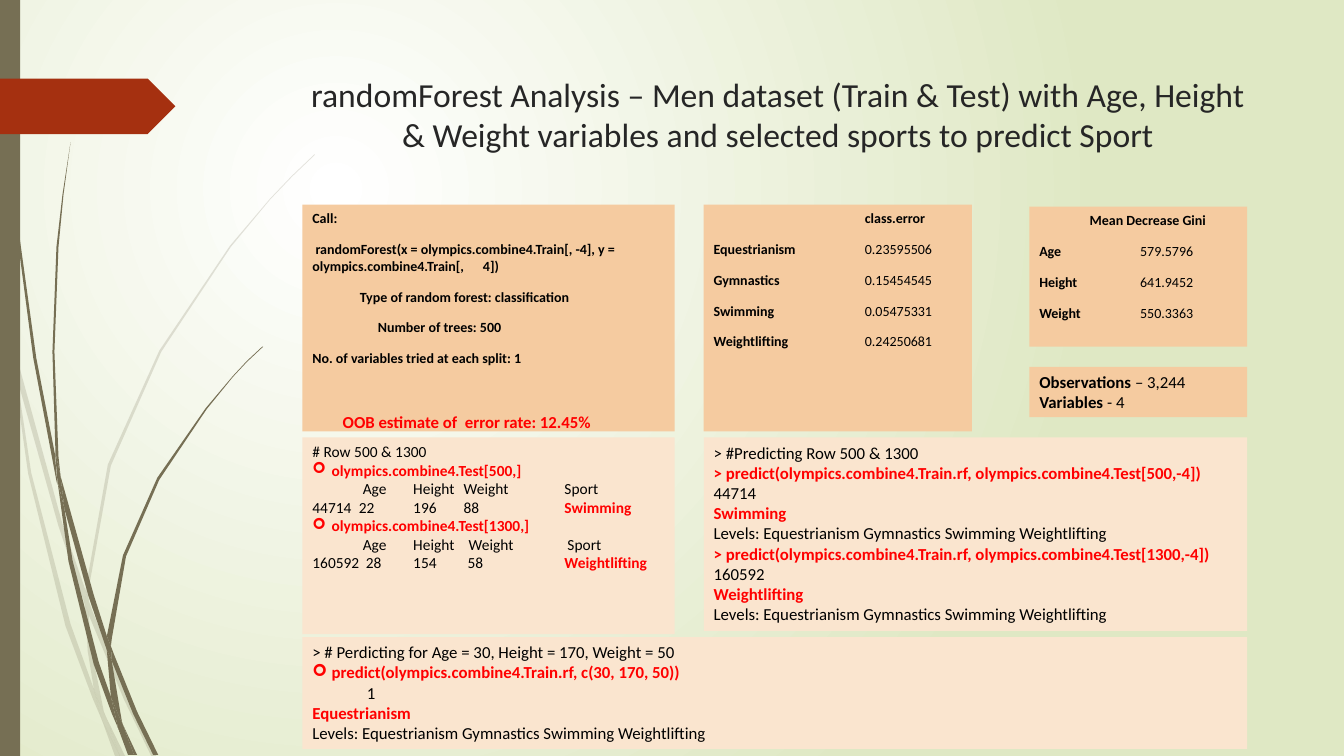
from lxml import etree
from pptx import Presentation
from pptx.dml.color import RGBColor
from pptx.enum.shapes import MSO_SHAPE
from pptx.enum.text import MSO_ANCHOR, MSO_AUTO_SIZE, PP_ALIGN
from pptx.oxml.ns import qn
from pptx.util import Inches, Pt

RECTANGLE = MSO_SHAPE.RECTANGLE
PENTAGON = MSO_SHAPE.PENTAGON
TOP = MSO_ANCHOR.TOP
NO_AUTOFIT = MSO_AUTO_SIZE.NONE
LEFT, CENTER = PP_ALIGN.LEFT, PP_ALIGN.CENTER

WHITE = RGBColor(0xFF, 0xFF, 0xFF)
PALE_GREEN = RGBColor(0xDF, 0xE8, 0xC4)
OLIVE = RGBColor(0x76, 0x6F, 0x54)
RUST = RGBColor(0xA5, 0x30, 0x10)
ORANGE = RGBColor(0xF5, 0xCB, 0xA0)
PEACH = RGBColor(0xFA, 0xE5, 0xCF)
CHARCOAL = RGBColor(0x26, 0x26, 0x26)
BLACK = RGBColor(0, 0, 0)
RED = RGBColor(0xFF, 0, 0)
FONT = "Calibri"

presentation = Presentation()
presentation.slide_width = Inches(13.33)
presentation.slide_height = Inches(7.5)
slide = presentation.slides.add_slide(presentation.slide_layouts[5])
shapes = slide.shapes

# Background: radial gradient from white to pale green
background_fill = slide.background.fill
background_fill.gradient()
for stop, color in zip(background_fill.gradient_stops, (WHITE, PALE_GREEN)):
    stop.color.rgb = color
gradient = slide.element.find(".//" + qn("a:gradFill"))
gradient.remove(gradient.find(qn("a:lin")))
circle = etree.SubElement(gradient, qn("a:path"), path="circle")
etree.SubElement(circle, qn("a:fillToRect"), l="50000", t="50000", r="100000", b="100000")


def paint(shape, color):
    """Give a shape a plain fill with no line and no shadow."""
    shape.shadow.inherit = False
    shape.fill.solid()
    shape.fill.fore_color.rgb = color
    shape.line.fill.background()


# Grass blades: the outline of each piece, in inches
pale_blades = [
    [(0.11, 3.5), (0.09, 3.22), (0, 2.82), (0, 2.99), (0.1, 3.44)],
    [(0.58, 5.22), (0.84, 5.99), (0.85, 5.86), (0.62, 5.2), (0.14, 3.45), (0.17, 3.76)],
    [(0.92, 6.07), (0.88, 5.96), (0.88, 6.1), (1.23, 6.94), (1.5, 7.5), (1.55, 7.5),
     (1.27, 6.92)],
    [(1.19, 7.5), (1.24, 7.5), (1.05, 7.11)],
    [(0.93, 6.83), (0.7, 6.19), (0.31, 4.69), (0.17, 3.76), (0.11, 3.5), (0.28, 4.7),
     (0.65, 6.21), (0.92, 6.93), (1.01, 7.14), (0.99, 7.07)],
    [(0.84, 5.99), (0.87, 6.46), (0.93, 6.83), (0.96, 6.92), (1.05, 7.11), (1.03, 7.06),
     (0.91, 6.46), (0.88, 6.1), (0.88, 6.08)],
    [(0.88, 5.84), (1.1, 4.62), (1.6, 3.49), (2.29, 2.45), (2.68, 1.98), (2.9, 1.75),
     (3.12, 1.54), (3.12, 1.53), (2.89, 1.75), (2.68, 1.97), (2.28, 2.44), (1.58, 3.48),
     (1.07, 4.61), (0.85, 5.84), (0.85, 5.86), (0.88, 5.96)],
    [(1.01, 7.14), (1.14, 7.5), (1.19, 7.5)],
    [(0.88, 6.08), (0.88, 6.1), (0.88, 5.96), (0.85, 5.86), (0.84, 5.99)],
    [(0.96, 6.92), (0.93, 6.83), (0.99, 7.07), (1.01, 7.14), (1.19, 7.5), (1.05, 7.11)],
]
dark_blades = [
    [(0.07, 1.1), (0.17, 2.33), (0.33, 3.55), (0.56, 4.77), (0.57, 4.81), (0.55, 4.57),
     (0.55, 4.53), (0.36, 3.55), (0.19, 2.32), (0.08, 1.09), (0.05, 0.48), (0.04, 0),
     (0.03, 0), (0.04, 0.48)],
    [(0.88, 5.92), (1.06, 6.45), (1.06, 6.33), (1.06, 6.31), (0.93, 5.9), (0.6, 4.72),
     (0.64, 5.05)],
    [(1.13, 6.49), (1.1, 6.41), (1.11, 6.56), (1.32, 7.08), (1.52, 7.49), (1.57, 7.49),
     (1.36, 7.06)],
    [(1.1, 6.91), (0.98, 6.57), (0.72, 5.56), (0.64, 5.05), (0.57, 4.77), (0.68, 5.57),
     (0.93, 6.59), (1.11, 7.08), (1.17, 7.22), (1.16, 7.17)],
    [(0.6, 4.72), (0.58, 4.53), (0.54, 3.49), (0.58, 2.45), (0.63, 1.93), (0.7, 1.41),
     (0.62, 1.93), (0.56, 2.45), (0.52, 3.49), (0.55, 4.49)],
    [(1.33, 7.49), (1.36, 7.49), (1.22, 7.19)],
    [(0.57, 4.77), (0.64, 5.05), (0.6, 4.72), (0.55, 4.49), (0.55, 4.53)],
    [(1.11, 6.33), (1.25, 5.52), (1.58, 4.76), (2.05, 4.06), (2.31, 3.74), (2.45, 3.59),
     (2.61, 3.44), (2.6, 3.44), (2.45, 3.58), (2.31, 3.73), (2.04, 4.05), (1.56, 4.74),
     (1.22, 5.51), (1.06, 6.31), (1.1, 6.41)],
    [(1.17, 7.22), (1.27, 7.49), (1.31, 7.49)],
    [(1.06, 6.45), (1.1, 6.91), (1.16, 7.06), (1.22, 7.19), (1.21, 7.16), (1.11, 6.56),
     (1.09, 6.51)],
    [(1.06, 6.45), (1.09, 6.51), (1.11, 6.56), (1.1, 6.41), (1.06, 6.31)],
    [(1.16, 7.06), (1.1, 6.91), (1.16, 7.17), (1.17, 7.22), (1.3, 7.49), (1.33, 7.49),
     (1.22, 7.19)],
]
for blades, opacity in ((pale_blades, 20), (dark_blades, 100)):
    for outline in blades:
        start, *rest = [(Inches(x), Inches(y)) for x, y in outline]
        builder = shapes.build_freeform(*start)
        builder.add_line_segments(rest, close=True)
        blade = builder.convert_to_shape()
        paint(blade, OLIVE)
        if opacity < 100:
            blade_color = blade.element.spPr.find(".//" + qn("a:srgbClr"))
            etree.SubElement(blade_color, qn("a:alpha"), val=str(opacity * 1000))

for preset, top, width, height, color in (
        (RECTANGLE, 0, 0.2, 7.5, OLIVE), (PENTAGON, 0.78, 1.74, 0.55, RUST)):
    ornament = shapes.add_shape(preset, 0, Inches(top), Inches(width), Inches(height))
    paint(ornament, color)

title = shapes.title
title.left, title.top = Inches(2.84), Inches(0.68)
title.width, title.height = Inches(9.75), Inches(1.4)
title.text_frame.text = ("randomForest Analysis – Men dataset (Train & Test) with Age, Height "
                         "& Weight variables and selected sports to predict Sport")
title.text_frame.vertical_anchor = TOP
title.text_frame.auto_size = NO_AUTOFIT
title_paragraph = title.text_frame.paragraphs[0]
title_paragraph.alignment = CENTER
title_font = title_paragraph.runs[0].font
title_font.name, title_font.size, title_font.color.rgb = FONT, Pt(24), CHARCOAL


def add_panel(box, fill_color, size, spacing, lines):
    """Add a text panel; each line is (runs, layout), each run (text, style)."""
    panel = shapes.add_shape(RECTANGLE, *map(Inches, box))
    paint(panel, fill_color)
    frame = panel.text_frame
    frame.word_wrap = True
    frame.vertical_anchor = TOP
    for index, (runs, layout) in enumerate(lines):
        paragraph = frame.paragraphs[0] if index == 0 else frame.add_paragraph()
        paragraph.alignment = LEFT
        paragraph.space_before = Pt(layout.get("before", spacing) if index else 0)
        properties = paragraph._p.get_or_add_pPr()
        properties.set("marL", str(Inches(layout.get("indent", 0))))
        if layout.get("bullet"):
            properties.set("indent", str(-Inches(layout["indent"])))
            etree.SubElement(properties, qn("a:buFont"), typeface="Wingdings")
            etree.SubElement(properties, qn("a:buChar"), char="➢")
        if "tabs" in layout:
            tab_list = etree.SubElement(properties, qn("a:tabLst"))
            for position in layout["tabs"]:
                etree.SubElement(tab_list, qn("a:tab"), pos=str(Inches(position)), algn="l")
        for text, style in runs:
            run = paragraph.add_run()
            run.text = text
            run.font.name = FONT
            run.font.size = Pt(layout.get("size", size))
            run.font.bold = style != "plain"
            run.font.color.rgb = RED if style == "red" else BLACK


BULLET = {"indent": 0.19, "bullet": True}
LEVELS = ([("Levels: Equestrianism Gymnastics Swimming Weightlifting", "plain")], {})

gini_scores = [("Age", "579.5796"), ("Height", "641.9452"), ("Weight", "550.3363")]
class_errors = [("Equestrianism", "0.23595506"), ("Gymnastics", "0.15454545"),
                ("Swimming", "0.05475331"), ("Weightlifting", "0.24250681")]
for box, heading, heading_tab, value_tab, scores in (
        ((10.21, 2.05, 2.16, 1.39), "Mean Decrease Gini", 0.5, 1, gini_scores),
        ((6.98, 2.03, 2.66, 2.25), "class.error", 1.5, 1.5, class_errors)):
    add_panel(box, ORANGE, 10, 10, [([("\t" + heading, "bold")], {"tabs": [heading_tab]})] + [
        ([(name + "\t", "bold"), (value, "plain")], {"tabs": [value_tab]})
        for name, value in scores])

add_panel((3, 2.03, 3.69, 2.25), ORANGE, 10, 10, [
    ([("Call:", "bold")], {}),
    ([(" randomForest(x = olympics.combine4.Train[, -4], y = "
       "olympics.combine4.Train[,      4])", "bold")], {}),
    ([("Type of random forest: classification", "bold")], {"indent": 0.47}),
    ([("Number of trees: 500", "bold")], {"indent": 0.65}),
    ([("No. of variables tried at each split: 1", "bold")], {}),
    ([("OOB estimate of  error rate: 12.45%", "red")],
     {"indent": 0.3, "before": 32, "size": 12}),
])

test_lines = [([("# Row 500 & 1300", "plain")], {})]
prediction_lines = [([("> #Predicting Row 500 & 1300", "plain")], {})]
for row, athlete, age, height, weight, sport, label_tabs, value_tabs in (
        (500, "44714", 22, 196, 88, "Swimming", [0.5, 1, 1.5, 2.5], [0.46, 1, 1.5, 2.5]),
        (1300, "160592", 28, 154, 58, "Weightlifting",
         [0.5, 1, 1.55, 2.53], [0.53, 1, 1.54, 2.5])):
    test_lines += [
        ([(f"olympics.combine4.Test[{row},]", "red")], BULLET),
        ([("\tAge\tHeight\tWeight\tSport", "plain")], {"tabs": label_tabs}),
        ([(f"{athlete}\t{age}\t{height}\t{weight}\t", "plain"), (sport, "red")],
         {"tabs": value_tabs}),
    ]
    prediction_lines += [
        ([(f"> predict(olympics.combine4.Train.rf, olympics.combine4.Test[{row},-4]) ", "red"),
          (athlete, "plain")], {}),
        ([(sport, "red")], {}),
        LEVELS,
    ]
add_panel((3, 4.34, 3.69, 1.95), PEACH, 11, 0, test_lines)
add_panel((6.98, 4.34, 5.39, 1.92), PEACH, 12, 0, prediction_lines)

add_panel((3, 6.32, 9.37, 1.11), PEACH, 12, 0, [
    ([("> # Perdicting for Age = 30, Height = 170, Weight = 50", "plain")], {}),
    ([("predict(olympics.combine4.Train.rf, c(30, 170, 50))", "red")], BULLET),
    ([("1", "plain")], {"indent": 0.54}),
    ([("Equestrianism", "red")], {}),
    LEVELS,
])
add_panel((10.21, 3.64, 2.16, 0.5), ORANGE, 12, 0, [
    ([("Observations", "bold"), (" – 3,244", "plain")], {}),
    ([("Variables", "bold"), (" - 4", "plain")], {}),
])

presentation.save("out.pptx")
